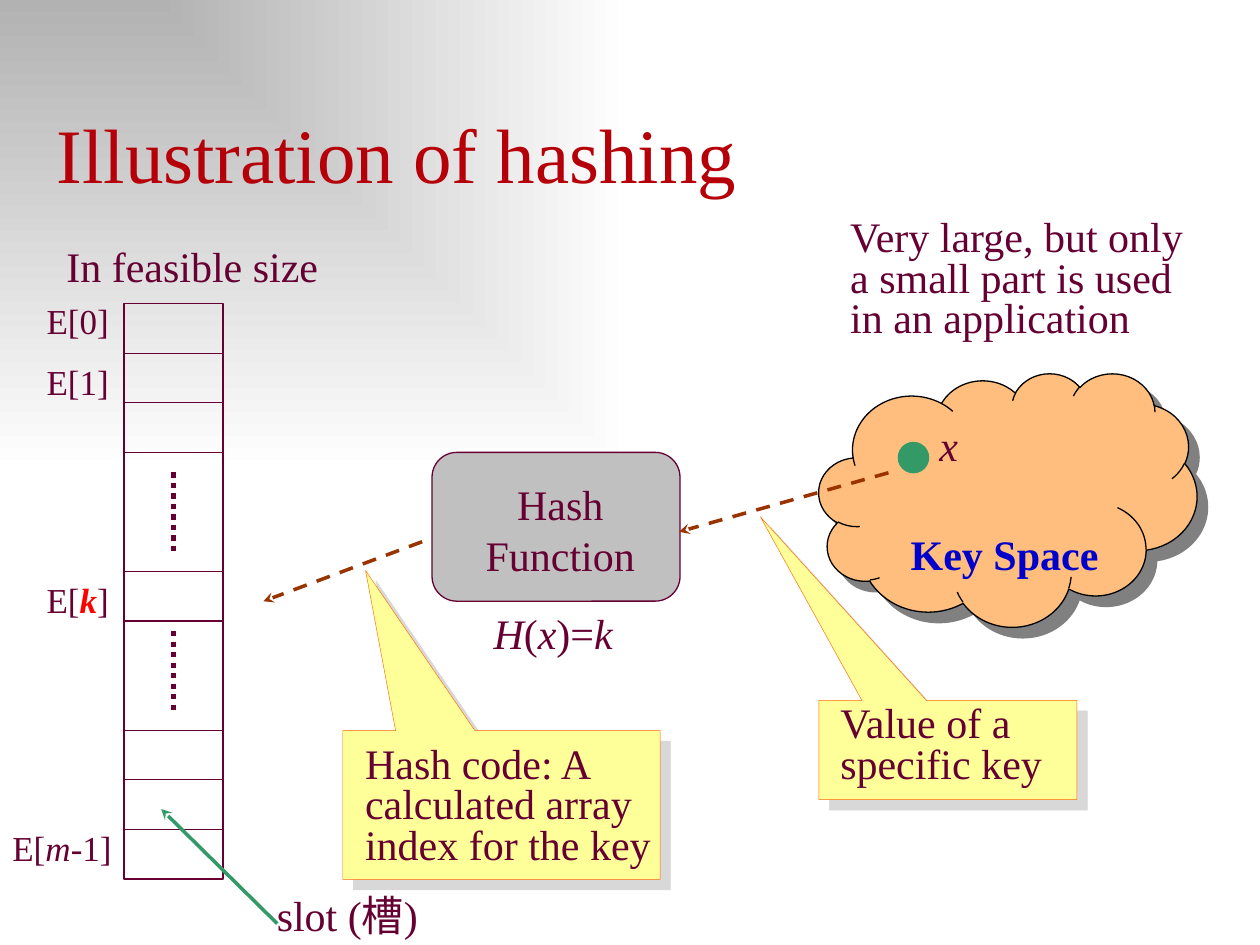
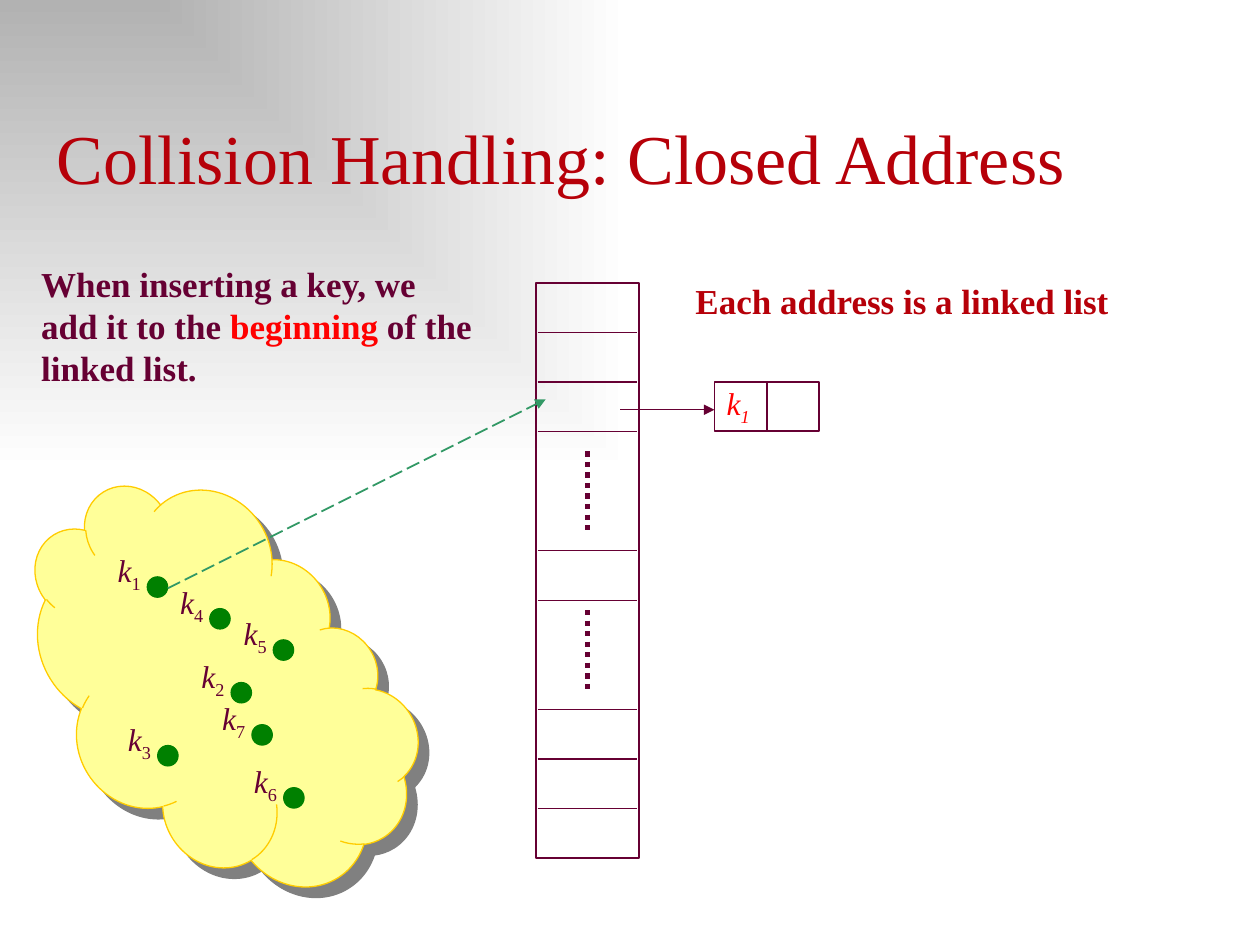
import itertools

import pptx
import pptx.dml.color
import pptx.enum.dml
import pptx.enum.shapes
import pptx.enum.text
import pptx.oxml
import pptx.oxml.ns
import pptx.util
from pptx.util import Cm, Pt

FONT = "Times New Roman"
PLUM = "660033"
TITLE_RED = "B60009"
RED = "FF0000"
GREEN = "339966"
KEY_GREEN = "008000"
BROWN = "993300"
PALE_YELLOW = "FFFF99"

SHAPES = pptx.enum.shapes.MSO_SHAPE
DASHES = pptx.enum.dml.MSO_LINE
ALIGN = pptx.enum.text.PP_ALIGN

TITLE_BOTTOM = 4.13
ROW_HEIGHTS = [1, 1, 1, 2.4, 1, 2.2, 1, 1, 1]
DOTS_LENGTH = 1.6


def rgb(color):
    return pptx.dml.color.RGBColor.from_string(color)


def drawing_element(xml):
    """Build an element from XML whose names are in the a: namespace."""
    tag, rest = xml[1:].split(" ", 1)
    return pptx.oxml.parse_xml(f"<{tag} {pptx.oxml.ns.nsdecls('a')} {rest}")


def set_background(master):
    fill = master.background.fill
    fill.gradient()
    for stop, color in zip(fill.gradient_stops, ("B2B2B2", "FFFFFF")):
        stop.color.rgb = rgb(color)
    for position, stop in enumerate(fill.gradient_stops):
        stop.position = position
    linear = master.element.find(".//" + pptx.oxml.ns.qn("a:lin"))
    corner = drawing_element(
        '<a:path path="rect"><a:fillToRect r="100000" b="100000"/></a:path>')
    linear.getparent().replace(linear, corner)


def format_run(run, size, color, bold=False, italic=False, sub=False):
    run.font.name = FONT
    run.font.size = Pt(size)
    run.font.color.rgb = rgb(color)
    run.font.bold = bold
    run.font.italic = italic
    if sub:
        run.font._element.set("baseline", "-25000")


def add_titled_slide(prs, title, size, top):
    slide = prs.slides.add_slide(prs.slide_layouts[5])
    heading = slide.shapes.title
    heading.left, heading.top = Cm(0.89), Cm(top)
    heading.width, heading.height = Cm(24), Cm(TITLE_BOTTOM - top)
    frame = heading.text_frame
    frame.text = title
    frame.auto_size = pptx.enum.text.MSO_AUTO_SIZE.NONE
    frame.vertical_anchor = pptx.enum.text.MSO_ANCHOR.BOTTOM
    frame.paragraphs[0].alignment = ALIGN.LEFT
    format_run(frame.paragraphs[0].runs[0], size, TITLE_RED)
    return slide


def add_text(slide, box, pieces, size=24, color=PLUM, bold=False,
             align=ALIGN.LEFT, spacing=None):
    """Write a string, or a list of (text, run format) pairs, in one paragraph."""
    if isinstance(pieces, str):
        pieces = [(pieces, {})]
    frame = slide.shapes.add_textbox(*map(Cm, box)).text_frame
    frame.word_wrap = True
    paragraph = frame.paragraphs[0]
    paragraph.alignment = align
    paragraph.line_spacing = spacing
    for text, style in pieces:
        run = paragraph.add_run()
        run.text = text
        format_run(run, **{"size": size, "color": color, "bold": bold, **style})


def add_outline(slide, kind, box, line, fill=None, width=0.75, shadow=None):
    """Add a preset shape; shadow is (colour, opacity in percent)."""
    shape = slide.shapes.add_shape(kind, *map(Cm, box))
    if fill:
        shape.fill.solid()
        shape.fill.fore_color.rgb = rgb(fill)
    else:
        shape.fill.background()
    shape.line.color.rgb = rgb(line)
    shape.line.width = Pt(width)
    shape.shadow.inherit = False
    if shadow:
        shade, opacity = shadow
        effects = shape._element.spPr.find(pptx.oxml.ns.qn("a:effectLst"))
        effects.append(drawing_element(
            f'<a:outerShdw dist="{Pt(8.5)}" dir="2700000" algn="ctr" rotWithShape="0">'
            f'<a:srgbClr val="{shade}"><a:alpha val="{opacity * 1000}"/></a:srgbClr>'
            '</a:outerShdw>'))
    return shape


def add_line(slide, start, end, color=PLUM, width=0.75, dash=None, head=None):
    line = slide.shapes.add_connector(
        pptx.enum.shapes.MSO_CONNECTOR.STRAIGHT, *map(Cm, (*start, *end)))
    line.line.color.rgb = rgb(color)
    line.line.width = Pt(width)
    if dash:
        line.line.dash_style = dash
    if head:
        line.line._get_or_add_ln().append(drawing_element(f'<a:tailEnd type="{head}"/>'))
    line._element.spPr.append(drawing_element("<a:effectLst />"))


def add_cloud(slide, box, fill, line):
    return add_outline(slide, SHAPES.CLOUD, box, line, fill, shadow=("808080", 100))


def add_callout(slide, box, tip, text_box, text):
    left, top, width, height = box
    callout = add_outline(slide, SHAPES.RECTANGULAR_CALLOUT, box, "FF6600",
                          PALE_YELLOW, 0.25, ("B2B2B2", 50))
    callout.adjustments[0] = (tip[0] - left) / width - 0.5
    callout.adjustments[1] = (tip[1] - top) / height - 0.5
    add_text(slide, text_box, text, spacing=0.8)


def add_hash_array(slide, left, top, width, inset=0):
    """Draw the column of slots, with dots in the tall, elided rows."""
    add_outline(slide, SHAPES.RECTANGLE, (left, top, width, sum(ROW_HEIGHTS)), PLUM, width=1)
    bottoms = [top + depth for depth in itertools.accumulate(ROW_HEIGHTS)]
    for bottom in bottoms[:-1]:
        add_line(slide, (left + inset, bottom), (left + width - inset, bottom))
    middle = left + width / 2
    for height, bottom in zip(ROW_HEIGHTS, bottoms):
        if height > DOTS_LENGTH:
            dots_end = bottom - 0.4
            add_line(slide, (middle, dots_end - DOTS_LENGTH), (middle, dots_end),
                     width=3, dash=DASHES.ROUND_DOT)


def add_key(slide, number, left, top):
    add_outline(slide, SHAPES.OVAL, (left, top, 0.41, 0.41), KEY_GREEN, KEY_GREEN)
    add_text(slide, (left - 0.85, top - 0.64, 1.7, 1.02),
             [("k", {"italic": True}), (str(number), {"sub": True})], 18)


def build_hashing(prs):
    slide = add_titled_slide(prs, "Illustration of hashing", 44, 2.01)
    italic = {"italic": True}

    add_callout(slide, (16.51, 14.12, 5.2, 2), (15.33, 10.42),
                (16.69, 14.12, 4.8, 1.88), "Value of a specific key")
    add_cloud(slide, (16.51, 7.52, 7.62, 5.11), "FFBE7D", "000000")
    add_text(slide, (18.11, 10.52, 4.8, 1.27), "Key Space", color="0000CC", bold=True)
    add_outline(slide, SHAPES.OVAL, (18.11, 8.92, 0.61, 0.61), GREEN, GREEN)
    add_text(slide, (18.69, 8.33, 1.4, 1.27), [("x", italic)])
    add_text(slide, (16.89, 4.32, 7.39, 2.69),
             "Very large, but only a small part is used in an application", spacing=0.8)

    add_outline(slide, SHAPES.ROUNDED_RECTANGLE, (8.71, 9.12, 5, 3), PLUM, "C0C0C0")
    add_text(slide, (9.3, 9.53, 3.99, 2.29), "Hash Function", align=ALIGN.CENTER)
    add_text(slide, (9.7, 12.12, 5.59, 1.27),
             [("H", italic), ("(", {}), ("x", italic), (")=", {}), ("k", italic)])
    add_callout(slide, (6.91, 14.73, 6.4, 3), (7.37, 11.5), (7.11, 14.94, 6.6, 2.72),
                "Hash code: A calculated array index for the key")
    for start, end in [((17.91, 9.53), (13.69, 10.72)), ((8.51, 10.92), (5.31, 12.12))]:
        add_line(slide, start, end, BROWN, 2, DASHES.DASH, "stealth")

    add_text(slide, (1.09, 4.72, 6.4, 1.27), "In feasible size")
    add_hash_array(slide, 2.5, 6.12, 2)
    red_index = {"color": RED, "bold": True, "italic": True}
    for left, top, label in [
        (0.69, 5.92, "E[0]"),
        (0.69, 7.14, "E[1]"),
        (0.69, 11.53, [("E[", {}), ("k", red_index), ("]", {})]),
        (0, 16.54, [("E[", {}), ("m", italic), ("-1]", {})]),
    ]:
        add_text(slide, (left, top, 3.1, 1.09), label, 20)
    add_line(slide, (5.59, 18.62), (3.25, 16.31), GREEN, 2, head="stealth")
    add_text(slide, (5.33, 17.81, 5.59, 1.27), "slot (槽)")


def build_closed_address(prs):
    slide = add_titled_slide(prs, "Collision Handling: Closed Address", 40, 2.18)

    key_cloud = add_cloud(slide, (-0.2, 10.8, 9.09, 6.15), PALE_YELLOW, "FFCC00")
    key_cloud.rotation = 58.1
    add_hash_array(slide, 10.8, 5.7, 2.08, inset=0.04)

    add_outline(slide, SHAPES.RECTANGLE, (14.4, 7.7, 2.11, 0.99), PLUM)
    add_line(slide, (15.46, 7.7), (15.46, 8.69))
    add_text(slide, (14.4, 7.62, 1.27, 1.02),
             [("k", {"italic": True}), ("1", {"italic": True, "sub": True})], 18, RED)
    add_line(slide, (12.5, 8.26), (14.4, 8.26), head="triangle")

    for number, left, top in [
        (1, 2.97, 11.63), (5, 5.51, 12.9), (2, 4.66, 13.76), (4, 4.23, 12.27),
        (3, 3.18, 15.03), (7, 5.08, 14.61), (6, 5.72, 15.88),
    ]:
        add_key(slide, number, left, top)
    add_line(slide, (3.38, 11.86), (11, 8.05), GREEN, 1, DASHES.LONG_DASH, "triangle")

    add_text(slide, (13.77, 5.51, 9.32, 1.09), "Each address is a linked list",
             20, TITLE_RED, bold=True)
    add_text(slide, (0.58, 5.16, 9.32, 2.82),
             [("When inserting a key, we add it to the ", {}),
              ("beginning", {"color": RED}),
              (" of the linked list.", {})], 20, bold=True)


def main():
    prs = pptx.Presentation()
    prs.slide_width, prs.slide_height = Cm(25.4), Cm(19.05)
    set_background(prs.slide_master)
    build_hashing(prs)
    build_closed_address(prs)
    prs.save("out.pptx")


if __name__ == "__main__":
    main()
